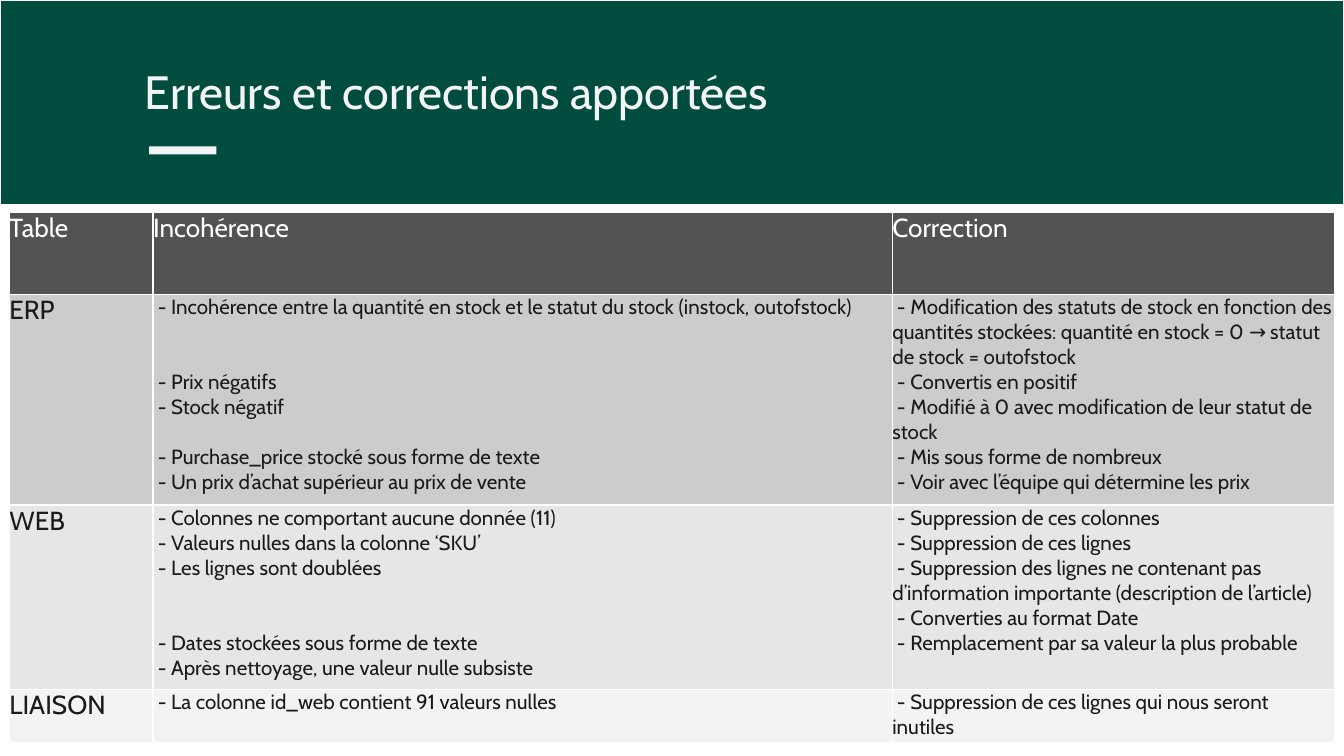
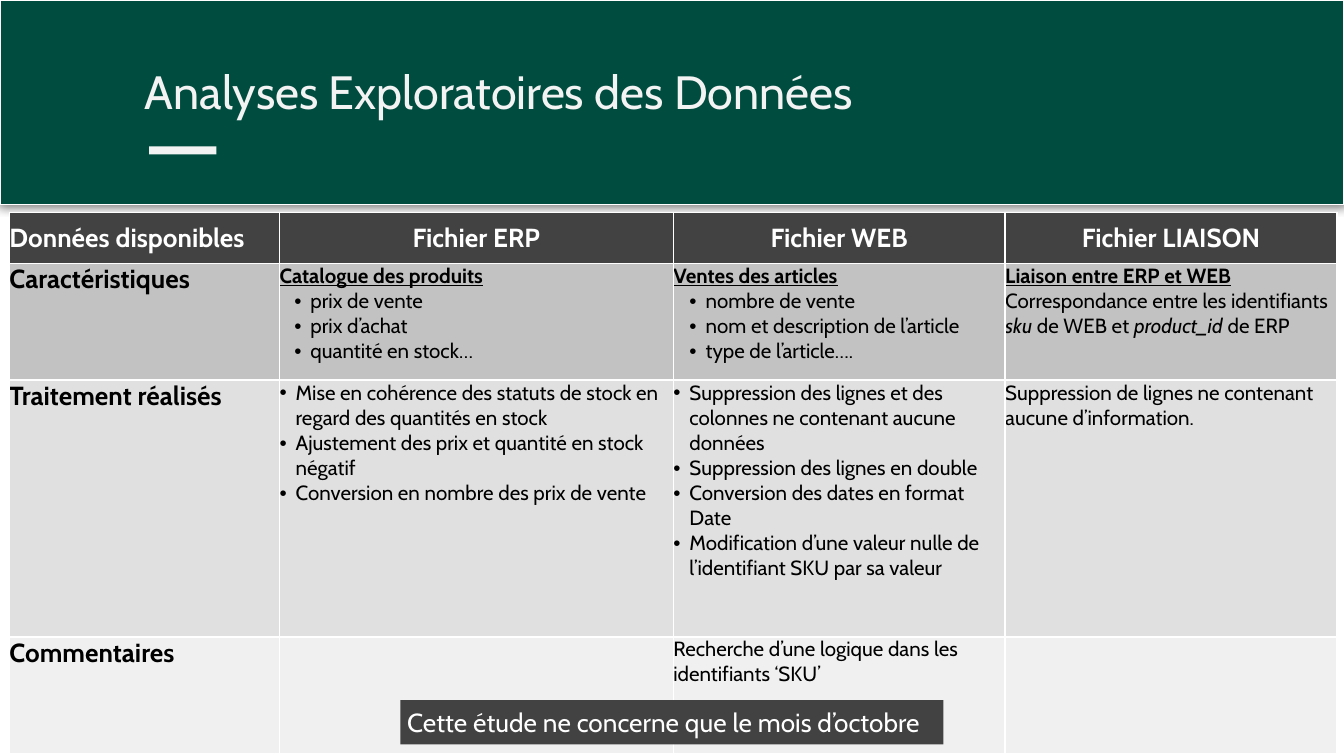
"""Build two slides on data cleaning and exploratory analysis."""
import pptx
import pptx.util
import pptx.dml.color
import pptx.enum.shapes
import pptx.enum.text
import pptx.oxml
import pptx.oxml.ns

Inches, Pt = pptx.util.Inches, pptx.util.Pt
RGBColor = pptx.dml.color.RGBColor
PP_ALIGN = pptx.enum.text.PP_ALIGN
MSO_ANCHOR = pptx.enum.text.MSO_ANCHOR

GREEN = RGBColor(0x00, 0x4D, 0x40)
WHITE = RGBColor(0xFF, 0xFF, 0xFF)
BLACK = RGBColor(0x00, 0x00, 0x00)
INK = RGBColor(0x1A, 0x1A, 0x1A)
PALE = RGBColor(0xF3, 0xF3, 0xF3)
CHARCOAL = RGBColor(0x42, 0x42, 0x42)
SLATE = RGBColor(0x53, 0x53, 0x53)
ERP_GREY = RGBColor(0xCC, 0xCC, 0xCC)
WEB_GREY = RGBColor(0xE6, 0xE6, 0xE6)
GREY_1 = RGBColor(0xC2, 0xC2, 0xC2)
GREY_2 = RGBColor(0xE0, 0xE0, 0xE0)
GREY_3 = RGBColor(0xF0, 0xF0, 0xF0)

FONT = "Cabin"
LINE = 13.4
SIDES = ("margin_left", "margin_top", "margin_right", "margin_bottom")
NS = 'xmlns:a="http://schemas.openxmlformats.org/drawingml/2006/main"'
BORDER = (
    '<a:{0} {1} w="12700"><a:solidFill><a:srgbClr val="FFFFFF"/></a:solidFill></a:{0}>'
)
SHADOW = (
    f'<a:effectLst {NS}><a:outerShdw blurRad="63500" dist="19050" dir="5400000" '
    'algn="bl" rotWithShape="0"><a:srgbClr val="000000"><a:alpha val="50000"/>'
    "</a:srgbClr></a:outerShdw></a:effectLst>"
)
BULLET = (f'<a:buFont {NS} typeface="Arial"/>', f'<a:buChar {NS} char="•"/>')
HEADING = {"bold": True, "underline": True}
ITALIC = {"italic": True}


def add_rect(s, left, top, width, height, fill):
    sp = s.shapes.add_shape(
        pptx.enum.shapes.MSO_SHAPE.RECTANGLE,
        Inches(left), Inches(top), Inches(width), Inches(height),
    )
    sp.shadow.inherit = False
    sp.fill.solid()
    sp.fill.fore_color.rgb = fill
    sp.line.fill.background()
    return sp


def write(tf, paragraphs, size, color, align=PP_ALIGN.LEFT, bold=False):
    for i, item in enumerate(paragraphs):
        item = {"runs": [(item, {})]} if isinstance(item, str) else item
        p = tf.add_paragraph() if i else tf.paragraphs[0]
        p.alignment = align
        if "gap" in item:
            p.space_before = Pt(item["gap"] * LINE)
        if "bullet" in item:
            pPr = p._p.get_or_add_pPr()
            pPr.set("marL", str(Inches(item["bullet"])))
            pPr.set("indent", str(Inches(-0.12)))
            for xml in BULLET:
                pPr.append(pptx.oxml.parse_xml(xml))
        for text, extra in item["runs"]:
            r = p.add_run()
            r.text = text
            r.font.color.rgb = color
            base = {"name": FONT, "size": Pt(size), "bold": bold}
            for key, value in {**base, **extra}.items():
                setattr(r.font, key, value)


errors = [
    [["Table"], ["Incohérence"], ["Correction"]],
    [
        ["ERP"],
        [
            " - Incohérence entre la quantité en stock et le statut du stock (instock, outofstock)",
            {"gap": 2, "runs": [(" - Prix négatifs", {})]},
            " - Stock négatif",
            {"gap": 1, "runs": [(" - Purchase_price stocké sous forme de texte", {})]},
            " - Un prix d’achat supérieur au prix de vente",
        ],
        [
            " - Modification des statuts de stock en fonction des quantités stockées: "
            "quantité en stock = 0 → statut de stock = outofstock",
            " - Convertis en positif",
            " - Modifié à 0 avec modification de leur statut de stock",
            " - Mis sous forme de nombreux",
            " - Voir avec l’équipe qui détermine les prix",
        ],
    ],
    [
        ["WEB"],
        [
            " - Colonnes ne comportant aucune donnée (11)",
            " - Valeurs nulles dans la colonne ‘SKU’",
            " - Les lignes sont doublées",
            {"gap": 2, "runs": [(" - Dates stockées sous forme de texte", {})]},
            " - Après nettoyage, une valeur nulle subsiste",
        ],
        [
            " - Suppression de ces colonnes",
            " - Suppression de ces lignes",
            " - Suppression des lignes ne contenant pas d’information importante "
            "(description de l’article)",
            " - Converties au format Date",
            " - Remplacement par sa valeur la plus probable",
        ],
    ],
    [
        ["LIAISON"],
        [" - La colonne id_web contient 91 valeurs nulles"],
        [" - Suppression de ces lignes qui nous seront inutiles"],
    ],
]

analyses = [
    [["Données disponibles"], ["Fichier ERP"], ["Fichier WEB"], ["Fichier LIAISON"]],
    [
        ["Caractéristiques"],
        [
            {"runs": [("Catalogue des produits", HEADING)]},
            {"bullet": 0.23, "runs": [("prix de vente", {})]},
            {"bullet": 0.23, "runs": [("prix d’achat", {})]},
            {"bullet": 0.23, "runs": [("quantité en stock…", {})]},
        ],
        [
            {"runs": [("Ventes des articles", HEADING)]},
            {"bullet": 0.24, "runs": [("nombre de vente", {})]},
            {"bullet": 0.24, "runs": [("nom et description de l’article", {})]},
            {"bullet": 0.24, "runs": [("type de l’article….", {})]},
        ],
        [
            {"runs": [("Liaison entre ERP et WEB", HEADING)]},
            {"runs": [
                ("Correspondance entre les identifiants ", {}), ("sku", ITALIC),
                (" de WEB et ", {}), ("product_id ", ITALIC), ("de ERP", {}),
            ]},
        ],
    ],
    [
        ["Traitement réalisés"],
        [{"bullet": 0.12, "runs": [(text, {})]} for text in (
            "Mise en cohérence des statuts de stock en regard des quantités en stock",
            "Ajustement des prix et quantité en stock négatif",
            "Conversion en nombre des prix de vente",
        )],
        [{"bullet": 0.12, "runs": [(text, {})]} for text in (
            "Suppression des lignes et des colonnes ne contenant aucune données",
            "Suppression des lignes en double",
            "Conversion des dates en format Date",
            "Modification d’une valeur nulle de l’identifiant SKU par sa valeur",
        )],
        ["Suppression de lignes ne contenant aucune d’information."],
    ],
    [
        ["Commentaires"],
        [],
        ["Recherche d’une logique dans les identifiants ‘SKU’"],
        [],
    ],
]

slides = [
    {
        "title": "Erreurs et corrections apportées", "title_width": 5.26,
        "table": errors, "cols": [1.07, 5.5, 3.29], "rows": [0.61, 1.57, 1.37, 0.4],
        "fills": [SLATE, ERP_GREY, WEB_GREY, PALE], "ink": INK, "bold": False,
        "anchor": MSO_ANCHOR.TOP, "head_align": PP_ALIGN.LEFT, "shadow": False,
    },
    {
        "title": "Analyses Exploratoires des Données", "title_width": 9.32,
        "table": analyses, "cols": [2.01, 2.93, 2.47, 2.47], "rows": [0.38, 0.87, 1.91, 0.87],
        "fills": [CHARCOAL, GREY_1, GREY_2, GREY_3], "ink": BLACK, "bold": True,
        "anchor": MSO_ANCHOR.MIDDLE, "head_align": PP_ALIGN.CENTER, "shadow": True,
    },
]

prs = pptx.Presentation()
prs.slide_width = Inches(10)
prs.slide_height = prs.slide_width * 9 // 16

for page in slides:
    s = prs.slides.add_slide(prs.slide_layouts[6])
    band = add_rect(s, 0, 0, 10, 1.52, GREEN)
    band.line.color.rgb = WHITE
    band.line.width = Pt(0.75)
    if page["shadow"]:
        spPr = band._element.spPr
        spPr.replace(spPr.find(pptx.oxml.ns.qn("a:effectLst")), pptx.oxml.parse_xml(SHADOW))

    title = s.shapes.add_textbox(
        Inches(0.98), Inches(0.37), Inches(page["title_width"]), Inches(0.63)
    )
    tf = title.text_frame
    tf.word_wrap = True
    for side in SIDES:
        setattr(tf, side, Inches(0.1))
    write(tf, [page["title"]], 25, PALE)
    add_rect(s, 1.11, 1.09, 0.5, 0.06, PALE)

    cols, rows = page["cols"], page["rows"]
    table = s.shapes.add_table(
        len(rows), len(cols), Inches(0.07), Inches(1.58), Inches(sum(cols)), Inches(sum(rows))
    ).table
    table.horz_banding = False
    for column, width in zip(table.columns, cols):
        column.width = Inches(width)
    for i, (height, fill) in enumerate(zip(rows, page["fills"])):
        table.rows[i].height = Inches(height)
        head = i == 0
        for j, paragraphs in enumerate(page["table"][i]):
            cell = table.cell(i, j)
            for side in SIDES:
                setattr(cell, side, 0)
            cell.vertical_anchor = page["anchor"] if head else MSO_ANCHOR.TOP
            for edge in ("lnL", "lnR", "lnT", "lnB"):
                cell._tc.get_or_add_tcPr().append(pptx.oxml.parse_xml(BORDER.format(edge, NS)))
            cell.fill.solid()
            cell.fill.fore_color.rgb = fill
            label = head or j == 0
            write(
                cell.text_frame, paragraphs, 14 if label else 11,
                WHITE if head else page["ink"],
                page["head_align"] if head and j else PP_ALIGN.LEFT,
                label and page["bold"],
            )

note = add_rect(s, 2.98, 5.21, 4.04, 0.33, CHARCOAL)
tf = note.text_frame
tf.word_wrap = False
tf.auto_size = pptx.enum.text.MSO_AUTO_SIZE.SHAPE_TO_FIT_TEXT
tf.vertical_anchor = MSO_ANCHOR.MIDDLE
for side in SIDES:
    setattr(tf, side, Inches(0.05))
write(tf, ["Cette étude ne concerne que le mois d’octobre"], 14, WHITE)

prs.save("out.pptx")
